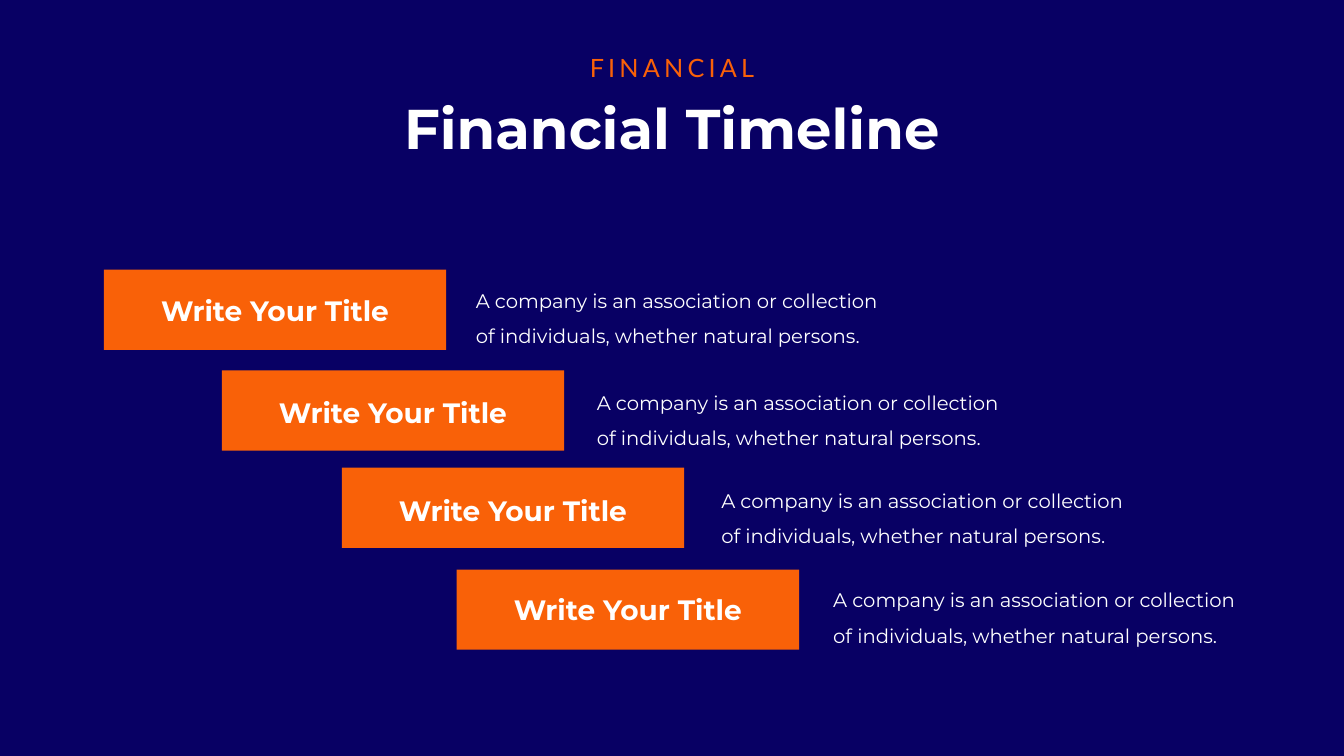
from pptx import Presentation
from pptx.dml.color import RGBColor
from pptx.enum.shapes import MSO_SHAPE
from pptx.enum.text import MSO_ANCHOR, PP_ALIGN
from pptx.util import Inches, Pt

NAVY, ORANGE, WHITE = "080064", "F96108", "FFFFFF"


def add_block(slide, box, color):
    block = slide.shapes.add_shape(MSO_SHAPE.RECTANGLE, *map(Inches, box))
    block.shadow.inherit = False
    block.line.fill.background()
    block.fill.solid()
    block.fill.fore_color.rgb = RGBColor.from_string(color)
    return block


def write(shape, box, text, size, color=WHITE, font="Montserrat", bold=False,
          align=PP_ALIGN.CENTER, line_spacing=1.0):
    shape.left, shape.top, shape.width, shape.height = map(Inches, box)
    frame = shape.text_frame
    frame.word_wrap = True
    frame.vertical_anchor = MSO_ANCHOR.TOP
    paragraph = frame.paragraphs[0]
    paragraph.alignment = align
    paragraph.line_spacing = line_spacing
    paragraph.space_before = Pt(0)
    run = paragraph.add_run()
    run.text = text
    run.font.size = Pt(size)
    run.font.name = font
    run.font.bold = bold
    run.font.color.rgb = RGBColor.from_string(color)
    return run


presentation = Presentation()
presentation.slide_width = Inches(26.66)
presentation.slide_height = Inches(15)
slide = presentation.slides.add_slide(presentation.slide_layouts[5])
title = slide.shapes.title

# Backdrop, placed behind the title
backdrop = add_block(slide, (0, 0, 26.66, 15), NAVY)
title.element.addprevious(backdrop.element)

# Heading
write(title, (7.25, 1.8, 12.16, 1.45), "Financial Timeline", 80, bold=True)
overline = write(slide.shapes.add_textbox(0, 0, 0, 0), (11.49, 0.99, 3.68, 0.71),
                 "FINANCIAL", 36, ORANGE, "Lato")
overline.font._element.set("spc", "600")  # letter spacing of 6 pt

# Timeline steps: bar left, bar top, label top, description left, description top
steps = [
    (2.06, 5.35, 5.77, 9.34, 5.44),
    (4.4, 7.35, 7.8, 11.74, 7.47),
    (6.78, 9.28, 9.74, 14.21, 9.41),
    (9.06, 11.3, 11.71, 16.43, 11.39),
]
for bar_left, bar_top, label_top, description_left, description_top in steps:
    add_block(slide, (bar_left, bar_top, 6.79, 1.59), ORANGE)
    write(slide.shapes.add_textbox(0, 0, 0, 0), (bar_left + 0.56, label_top, 5.67, 0.77),
          "Write Your Title", 40, bold=True)
    write(slide.shapes.add_textbox(0, 0, 0, 0),
          (description_left, description_top, 8.3, 1.43),
          "A company is an association or collection of individuals, whether natural persons.",
          28, align=PP_ALIGN.LEFT, line_spacing=1.5)

presentation.save("out.pptx")
